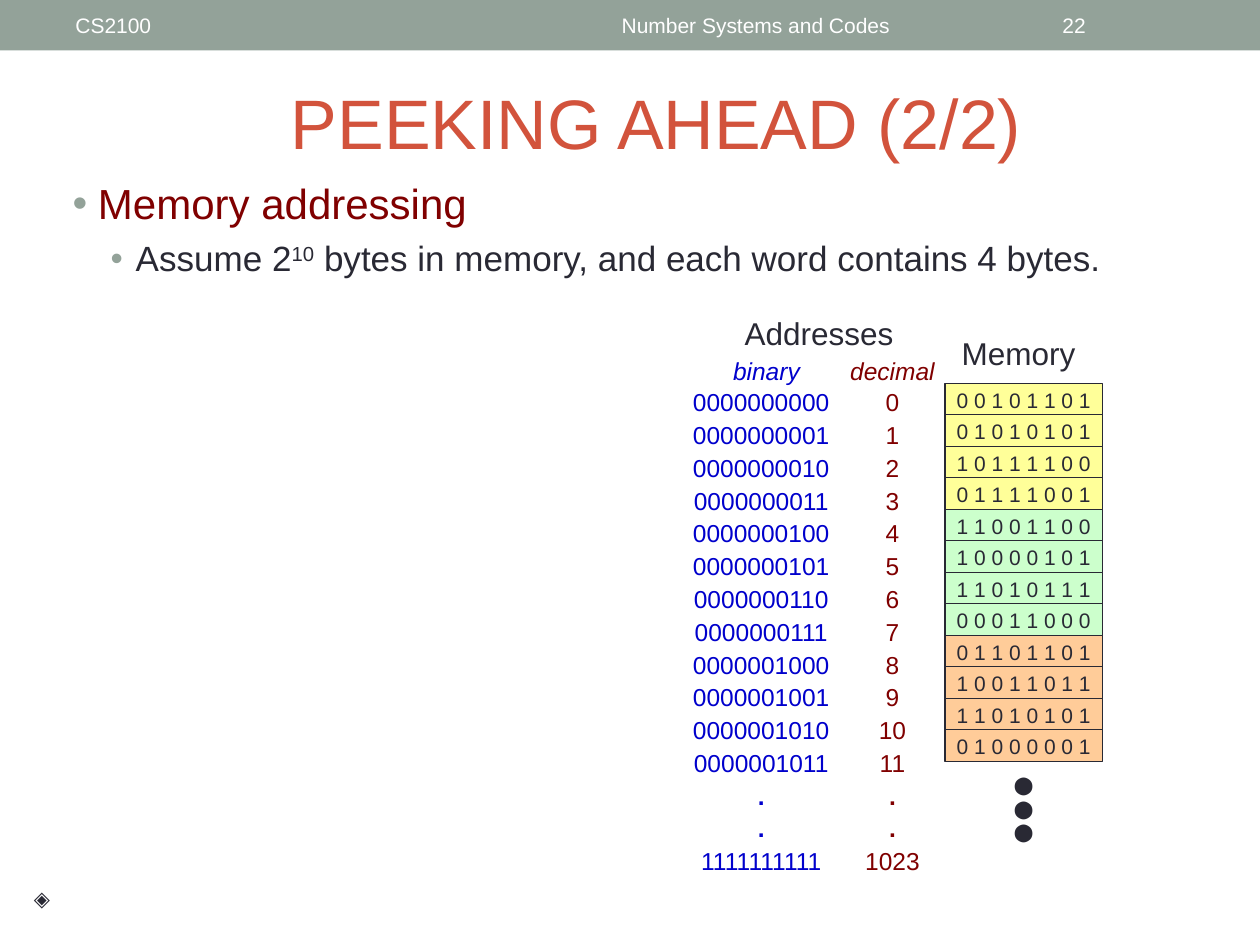
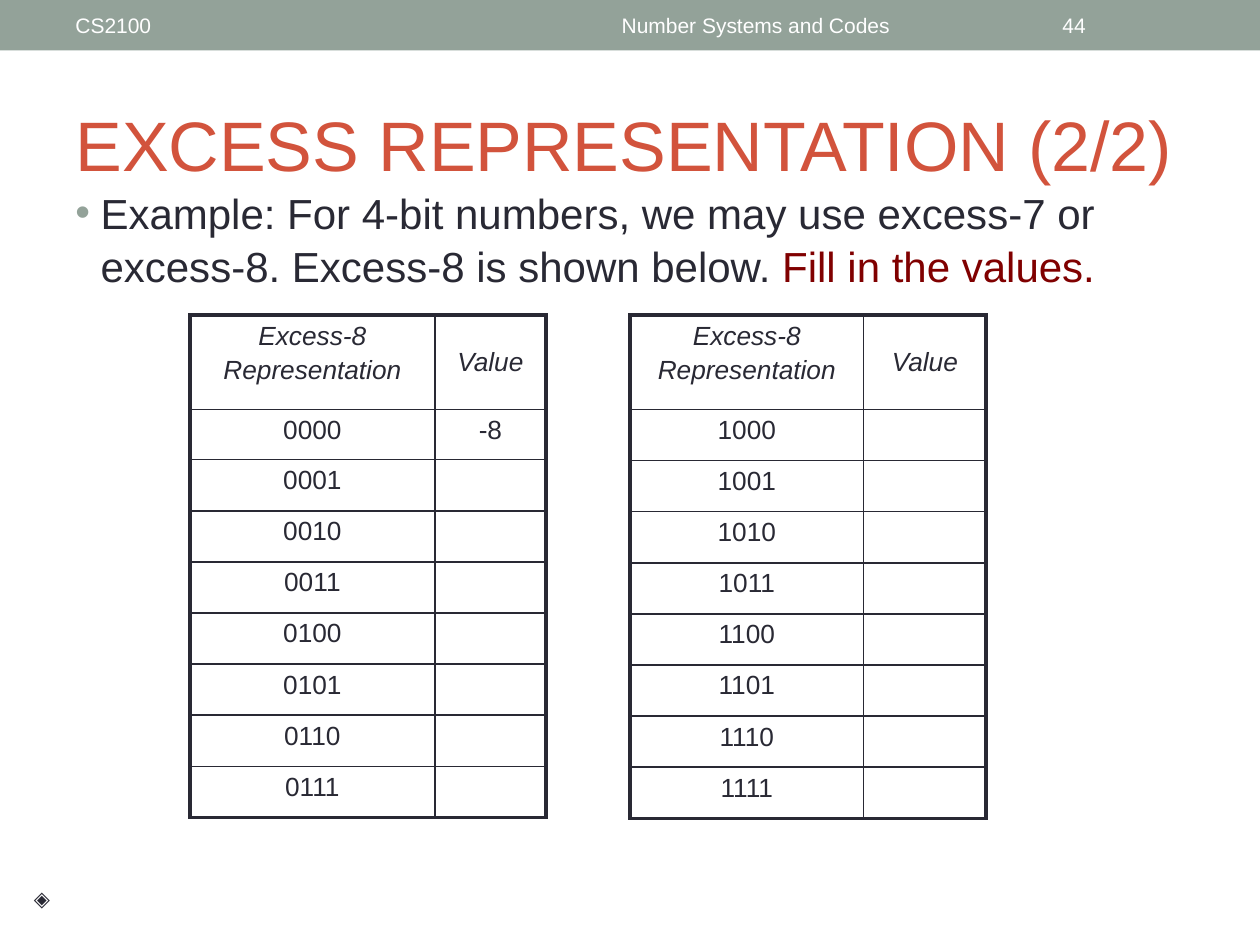
"""Build two lecture slides on memory addressing and excess representation."""
from dataclasses import dataclass

import pptx
import pptx.dml.color
import pptx.enum.shapes
import pptx.enum.text
import pptx.oxml
import pptx.oxml.ns
import pptx.util
from lxml import etree

Pt = pptx.util.Pt
ALIGN = pptx.enum.text.PP_ALIGN
ANCHOR = pptx.enum.text.MSO_ANCHOR
qn = pptx.oxml.ns.qn


@dataclass(frozen=True)
class Theme:
    """Colours, font and type sizes shared by the slides."""
    font: str = "Arial"
    band: str = "93A299"
    title: str = "D2533C"
    ink: str = "292934"
    white: str = "FFFFFF"
    accent: str = "800000"
    binary: str = "0000CC"
    words: tuple = ("FFFF99", "CCFFCC", "FFCC99")
    title_size: int = 40
    body_size: int = 24
    sub_size: int = 20
    label_size: int = 18
    table_size: int = 15
    address_size: int = 14
    small_size: int = 12
    dot_size: int = 10
    leading: float = 1.05
    thick: float = 2.25
    thin: float = 1


T = Theme()
MEMORY = ("00101101", "01010101", "10111100", "01111001",
          "11001100", "10000101", "11010111", "00011000",
          "01101101", "10011011", "11010101", "01000001")


def rgb(color):
    """Turn a hex string into a colour."""
    return pptx.dml.color.RGBColor.from_string(color)


def add_run(p, text, size, color=T.ink, italic=False, bold=False):
    """Append a formatted run to a paragraph."""
    r = p.add_run()
    r.text = text
    font = r.font
    font.name, font.size = T.font, Pt(size)
    font.italic, font.bold = italic, bold
    font.color.rgb = rgb(color)
    return r


def set_frame(tf, insets, anchor=ANCHOR.TOP):
    """Set wrapping, insets (horizontal, vertical) and anchor."""
    tf.word_wrap = True
    tf.auto_size = pptx.enum.text.MSO_AUTO_SIZE.NONE
    tf.margin_left = tf.margin_right = Pt(insets[0])
    tf.margin_top = tf.margin_bottom = Pt(insets[1])
    tf.vertical_anchor = anchor


def add_box(s, box, insets=(7.2, 3.6), anchor=ANCHOR.TOP):
    """Add an empty text box and return its text frame."""
    tf = s.shapes.add_textbox(*map(Pt, box)).text_frame
    set_frame(tf, insets, anchor)
    return tf


def add_rect(s, box, fill):
    """Add a plain filled rectangle."""
    sp = s.shapes.add_shape(pptx.enum.shapes.MSO_SHAPE.RECTANGLE, *map(Pt, box))
    sp.shadow.inherit = False
    sp.fill.solid()
    sp.fill.fore_color.rgb = rgb(fill)
    sp.line.fill.background()
    return sp


def add_lines(tf, lines, size, color=T.ink, italic=False, gap=0):
    """Write centred lines with an equal gap between them."""
    for i, line in enumerate(lines):
        p = tf.add_paragraph() if i else tf.paragraphs[0]
        p.alignment = ALIGN.CENTER
        p.line_spacing = T.leading
        if i:
            p.space_before = Pt(gap)
        add_run(p, line, size, color, italic, bold=line == ".")


def add_label(s, box, lines, size, color=T.ink, italic=False, gap=0):
    """Add a centred label or column of values."""
    add_lines(add_box(s, box, (0.72, 1.44)), lines, size, color, italic, gap)


def set_bullet(p, left):
    """Give a paragraph a hanging bullet in the band colour."""
    ppr = p._p.get_or_add_pPr()
    ppr.set("marL", str(Pt(left)))
    ppr.set("indent", str(-Pt(14.4)))
    color = etree.SubElement(ppr, qn("a:buClr"))
    etree.SubElement(color, qn("a:srgbClr")).set("val", T.band)
    etree.SubElement(ppr, qn("a:buFont")).set("typeface", T.font)
    etree.SubElement(ppr, qn("a:buChar")).set("char", "•")
    p.line_spacing = T.leading


def add_slide(prs, number, title, box, align):
    """Add a slide with header band, title and corner mark."""
    s = prs.slides.add_slide(prs.slide_layouts[5])
    add_rect(s, (0, 0, 720, 28.8), T.band)
    headers = ((36, 228, "CS2100", ALIGN.LEFT),
               (270, 324, "Number Systems and Codes", ALIGN.CENTER),
               (600, 84, str(number), ALIGN.LEFT))
    for left, width, text, side in headers:
        p = add_box(s, (left, 1.5, width, 26), anchor=ANCHOR.MIDDLE).paragraphs[0]
        p.alignment = side
        add_run(p, text, T.small_size, T.white)
    sp = s.shapes.title
    sp.left, sp.top, sp.width, sp.height = map(Pt, box)
    set_frame(sp.text_frame, (7.2, 3.6), ANCHOR.MIDDLE)
    p = sp.text_frame.paragraphs[0]
    p.alignment = align
    p.line_spacing = T.leading
    add_run(p, title, T.title_size, T.title)
    add_label(s, (12, 504, 24, 16), ["◈"], T.small_size)
    return s


def add_memory(s, left, top, width, pitch):
    """Stack the memory bytes, one colour for each four-byte word."""
    for i, byte in enumerate(MEMORY):
        sp = add_rect(s, (left, top + i * pitch, width, pitch), T.words[i // 4])
        sp.line.color.rgb = rgb(T.ink)
        sp.line.width = Pt(0.75)
        set_frame(sp.text_frame, (3.6, 1.44))
        add_lines(sp.text_frame, [" ".join(byte)], T.small_size)


def set_border(cell, side, width):
    """Draw one side of a table cell."""
    ln = etree.SubElement(cell._tc.get_or_add_tcPr(), qn(f"a:ln{side}"))
    ln.set("w", str(Pt(width)))
    fill = etree.SubElement(ln, qn("a:solidFill"))
    etree.SubElement(fill, qn("a:srgbClr")).set("val", T.ink)


def fill_cell(cell, lines, header):
    """Write centred lines in a table cell."""
    for i, line in enumerate(lines):
        p = cell.text_frame.add_paragraph() if i else cell.text_frame.paragraphs[0]
        p.alignment = ALIGN.CENTER
        if i:
            p.space_before = Pt(3)
        add_run(p, line, T.table_size, italic=header)


def add_excess_table(s, left, widths, heights, first, values):
    """Add a table of eight codes counted up from the first one."""
    rows = [(["Excess-8", "Representation"], ["Value"])]
    rows += [([f"{first + i:04b}"], values.get(first + i, [])) for i in range(8)]
    box = (left, 180, sum(widths), sum(heights))
    table = s.shapes.add_table(len(rows), 2, *map(Pt, box)).table
    table.first_row = table.horz_banding = False
    for column, width in zip(table.columns, widths):
        column.width = Pt(width)
    last = len(rows) - 1
    for i, row in enumerate(rows):
        table.rows[i].height = Pt(heights[i])
        for j, lines in enumerate(row):
            cell = table.cell(i, j)
            fill_cell(cell, lines, header=i == 0)
            outer = {"L": j == 0, "R": j == 1, "T": i == 0, "B": i == last}
            for side, edge in outer.items():
                set_border(cell, side, T.thick if edge else T.thin)
            cell.fill.background()
    table.cell(0, 1).vertical_anchor = ANCHOR.MIDDLE


def build_memory_slide(prs):
    """Build the slide on memory addressing."""
    s = add_slide(prs, 22, "PEEKING AHEAD (2/2)", (51, 29.5, 648, 78), ALIGN.CENTER)
    tf = add_box(s, (34.5, 96.5, 648, 399))
    p = tf.paragraphs[0]
    set_bullet(p, 14.4)
    add_run(p, "Memory addressing", T.body_size, T.accent)
    p = tf.add_paragraph()
    p.level = 1
    set_bullet(p, 36)
    p.space_before = Pt(4)
    add_run(p, "Assume 2", T.sub_size)
    r = add_run(p, "10", T.sub_size)
    r.font._element.set("baseline", "30000")
    add_run(p, " bytes in memory, and each word contains 4 bytes.", T.sub_size)

    add_label(s, (540, 188.5, 84, 24.5), ["Memory"], T.label_size)
    add_label(s, (420, 177, 96, 24.5), ["Addresses"], T.label_size)
    add_label(s, (480, 201, 60, 19.5), ["decimal"], T.address_size, T.accent, True)
    add_label(s, (402, 201, 72, 19.5), ["binary"], T.address_size, T.binary, True)
    add_memory(s, 540, 219, 90, 18)
    count = range(len(MEMORY))
    decimals = [str(i) for i in count] + [".", ".", "1023"]
    binaries = [f"{i:010b}" for i in count] + [".", ".", f"{1023:b}"]
    add_label(s, (492, 219, 36, 274), decimals, T.address_size, T.accent, gap=1.1)
    add_label(s, (390, 219, 90, 274), binaries, T.address_size, T.binary, gap=1.1)
    add_label(s, (570, 440.5, 30, 41), ["⬤"] * 3, T.dot_size, gap=0.8)


def build_excess_slide(prs):
    """Build the slide on excess-8 values."""
    s = add_slide(prs, 44, "EXCESS REPRESENTATION (2/2)", (36, 42, 648, 78), ALIGN.LEFT)
    p = add_box(s, (36, 102, 648, 162)).paragraphs[0]
    set_bullet(p, 14.4)
    add_run(p, "Example: For 4-bit numbers, we may use excess-7 or excess-8. "
               "Excess-8 is shown below. ", T.body_size)
    add_run(p, "Fill in the values.", T.body_size, T.accent)
    heights = [54] + [28.7] * 8
    short = heights[:4] + [27.6] + heights[5:]
    add_excess_table(s, 108.5, (140, 63.5), short, 0, {0: ["-8"]})
    add_excess_table(s, 360, (133.5, 70), heights, 8, {})


def main():
    """Build and save the slides."""
    prs = pptx.Presentation()
    prs.slide_width, prs.slide_height = Pt(720), Pt(540)
    build_memory_slide(prs)
    build_excess_slide(prs)
    prs.save("out.pptx")


if __name__ == "__main__":
    main()
